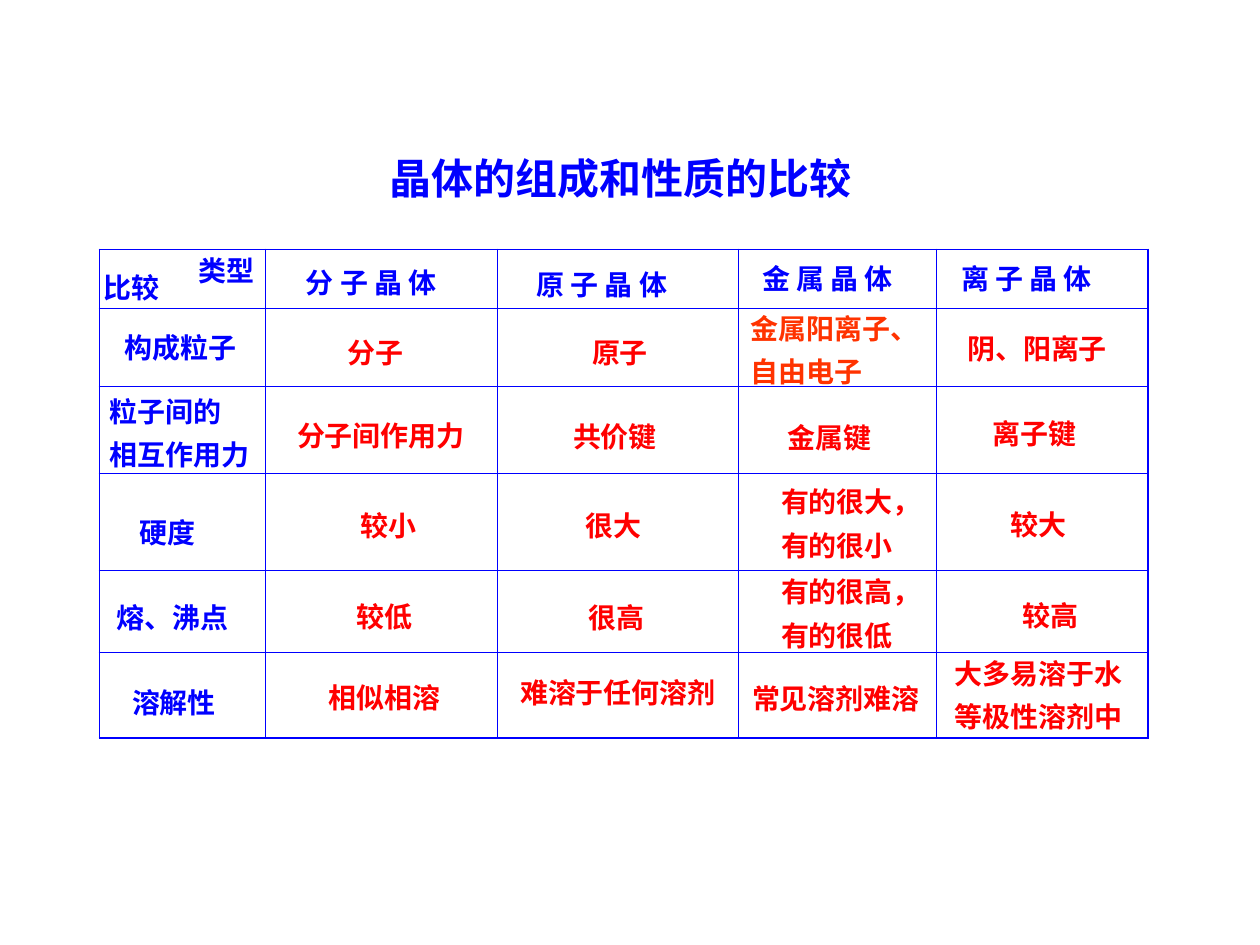
from itertools import accumulate

from lxml import etree
from pptx import Presentation
from pptx import util as u
from pptx.dml.color import RGBColor
from pptx.enum import text as t
from pptx.oxml import ns

BLUE = RGBColor(0x00, 0x00, 0xFF)
RED = RGBColor(0xFF, 0x00, 0x00)
ORANGE = RGBColor(0xFF, 0x33, 0x00)
FONT = "Noto Sans CJK SC"
THIN, THICK = 0.45, 1.08

# Grid of the comparison, in inches
LEFT, TOP = 0.79, 1.98
COLS = [1.32, 1.84, 1.91, 1.57, 1.68]
ROWS = [0.47, 0.62, 0.69, 0.77, 0.65, 0.68]

# Labels of each cell: text, shift from the cell's corner, box width
WIDE = 1.61
HEADS = [
    ("比较", -0.07, 0.04, WIDE),
    ("分 子 晶 体", 0.22, 0, 2.14),
    ("原 子 晶 体", 0.21, 0.01, 2.14),
    ("金 属 晶 体", 0.09, -0.03, 1.94),
    ("离 子 晶 体", 0.10, 0.05, 1.94),
]
BODY = [
    [("构成粒子", 0.10, 0.04, WIDE), ("分子", 0.55, 0.08, WIDE),
     ("原子", 0.65, 0.08, WIDE), ("金属阳离子、\n自由电子", 0, -0.11, 1.93),
     ("阴、阳离子", 0.15, 0.13, 1.94)],
    [("粒子间的\n相互作用力", -0.02, -0.07, WIDE), ("分子间作用力", 0.15, 0.12, 1.93),
     ("共价键", 0.50, 0.13, WIDE), ("金属键", 0.29, 0.14, WIDE),
     ("离子键", 0.35, 0.11, WIDE)],
    [("硬度", 0.22, 0.20, WIDE), ("较小", 0.65, 0.15, WIDE),
     ("很大", 0.60, 0.15, WIDE), ("有的很大，\n有的很小", 0.24, -0.04, WIDE),
     ("较大", 0.49, 0.14, 1.03)],
    [("熔、沸点", 0.04, 0.11, WIDE), ("较低", 0.62, 0.10, WIDE),
     ("很高", 0.62, 0.11, WIDE), ("有的很高，\n有的很低", 0.24, -0.10, WIDE),
     ("较高", 0.59, 0.09, 1.14)],
    [("溶解性", 0.16, 0.13, WIDE), ("相似相溶", 0.40, 0.09, 2.7),
     ("难溶于任何溶剂", 0.08, 0.05, 2.7), ("常见溶剂难溶", 0.01, 0.10, 1.72),
     ("大多易溶于水\n等极性溶剂中", 0.05, -0.10, 1.85)],
]
TIGHT = {(0, 4), (1, 4)}  # cells with single line spacing


def write(frame, words, size=16, color=RED, space=1.3):
    """Fill a text frame, one paragraph to a line."""
    frame.word_wrap = True
    frame.auto_size = t.MSO_AUTO_SIZE.SHAPE_TO_FIT_TEXT
    frame.vertical_anchor = t.MSO_ANCHOR.TOP
    for i, line in enumerate(words.split("\n")):
        para = frame.add_paragraph() if i else frame.paragraphs[0]
        para.alignment = t.PP_ALIGN.LEFT
        para.line_spacing = space
        run = para.add_run()
        run.text = line
        font = run.font
        font.size, font.bold, font.name = u.Pt(size), True, FONT
        font.color.rgb = color
        east = etree.SubElement(font._element, ns.qn("a:ea"))
        east.set("typeface", FONT)


def place(shape, box):
    shape.left, shape.top, shape.width, shape.height = map(u.Inches, box)


def title(slide, box):
    shape = slide.shapes.title
    place(shape, box)
    write(shape.text_frame, "晶体的组成和性质的比较", size=24, color=BLUE, space=1.0)


def edge(cell, sides):
    """Draw the cell's borders; sides gives widths for L, R, T, B."""
    props = cell._tc.get_or_add_tcPr()
    for i, (side, width) in enumerate(sides.items()):
        line = etree.Element(ns.qn(f"a:ln{side}"), w=str(u.Pt(width)))
        fill = etree.SubElement(line, ns.qn("a:solidFill"))
        etree.SubElement(fill, ns.qn("a:srgbClr"), val=str(BLUE))
        props.insert(i, line)


def grid(slide, left, top):
    """Ruled table with a heavier outer frame."""
    box = map(u.Inches, (left, top, sum(COLS), sum(ROWS)))
    table = slide.shapes.add_table(len(ROWS), len(COLS), *box).table
    table.first_row = table.horz_banding = False
    for col, width in zip(table.columns, COLS):
        col.width = u.Inches(width)
    for row, height in zip(table.rows, ROWS):
        row.height = u.Inches(height)
    for r in range(len(ROWS)):
        for c in range(len(COLS)):
            cell = table.cell(r, c)
            cell.fill.background()
            outer = {"L": c == 0, "R": c == len(COLS) - 1,
                     "T": r == 0, "B": r == len(ROWS) - 1}
            edge(cell, {s: THICK if out else THIN for s, out in outer.items()})


def label(slide, x, y, words, wide, **style):
    high = 0.8 if "\n" in words else 0.37 if style.get("space") == 1.0 else 0.45
    box = map(u.Inches, (x, y, wide, high))
    write(slide.shapes.add_textbox(*box).text_frame, words, **style)


def labels(slide, left, top):
    """Set each label over its cell."""
    xs = list(accumulate(COLS, initial=left))
    ys = list(accumulate(ROWS, initial=top))
    label(slide, left + 0.69, top - 0.1, "类型", WIDE, color=BLUE)
    for r, row in enumerate([HEADS] + BODY):
        for c, (words, dx, dy, wide) in enumerate(row):
            color = BLUE if r == 0 or c == 0 else ORANGE if (r, c) == (1, 3) else RED
            label(slide, xs[c] + dx, ys[r] + dy, words, wide, color=color,
                  space=1.0 if (r, c) in TIGHT else 1.3)


def main():
    deck = Presentation()
    deck.slide_width, deck.slide_height = u.Inches(10), u.Inches(7.5)
    slide = deck.slides.add_slide(deck.slide_layouts[5])
    title(slide, (2.99, 1.16, 3.9, 0.5))
    grid(slide, LEFT, TOP)
    labels(slide, LEFT, TOP)
    deck.save("out.pptx")


if __name__ == "__main__":
    main()
